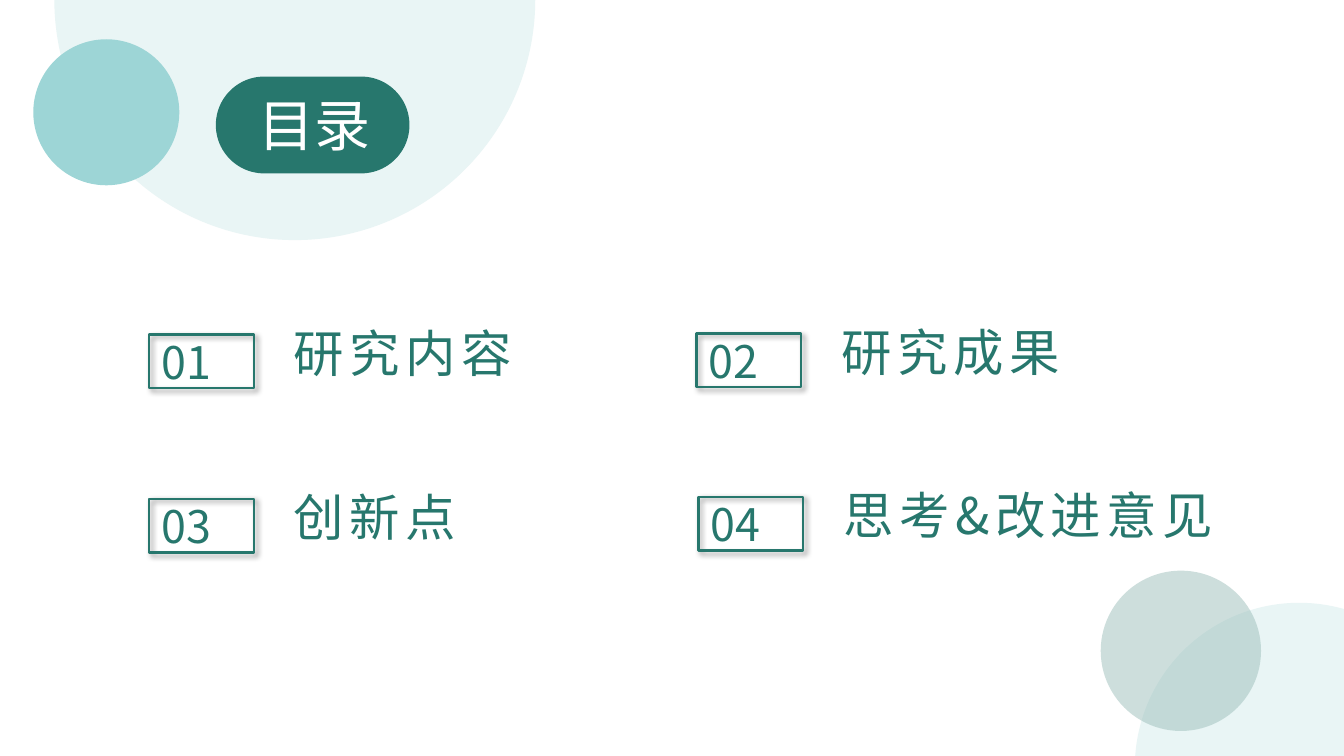
from dataclasses import dataclass

from lxml import etree
from pptx import Presentation
from pptx.dml.color import RGBColor
from pptx.enum import shapes, text
from pptx.oxml import ns
from pptx.util import Cm, Pt

FONT = "Noto Sans CJK SC"
GREEN = RGBColor(0x27, 0x77, 0x6D)
PALE = RGBColor(0xE9, 0xF5, 0xF5)
AQUA = RGBColor(0x9D, 0xD5, 0xD6)
SAGE = RGBColor(0x9D, 0xC0, 0xBC)
WHITE = RGBColor(0xFF, 0xFF, 0xFF)
BLACK = RGBColor(0, 0, 0)


@dataclass(frozen=True)
class Circle:
    left: float
    top: float
    diameter: float
    color: RGBColor
    opacity: int = 100


@dataclass(frozen=True)
class Entry:
    """A numbered line of the contents, placed by its number frame."""
    left: float
    top: float
    title: str
    width: float = 9.6
    height: float = 1.8


TOP_CIRCLES = [Circle(1.37, -6.07, 12.12, PALE), Circle(0.84, 0.99, 3.68, AQUA)]
BOTTOM_CIRCLES = [Circle(28.6, 15.19, 8.28, PALE), Circle(27.74, 14.38, 4.04, SAGE, 51)]
ENTRIES = [
    Entry(3.76, 8.43, "研究内容"),
    Entry(17.55, 8.41, "研究成果"),
    Entry(3.76, 12.57, "创新点"),
    Entry(17.6, 12.52, "思考&改进意见", 10.26, 3.33),
]


def add_element(parent, tag: str, **attributes):
    element = etree.SubElement(parent, ns.qn(tag))
    for name, value in attributes.items():
        element.set(name, str(value))
    return element


def add_text(container, content: str, left: float, top: float, width: float,
             height: float, *, size: float, color: RGBColor = GREEN,
             spacing: float = 0, grow: bool = True):
    box = container.add_textbox(Cm(left), Cm(top), Cm(width), Cm(height))
    frame = box.text_frame
    frame.word_wrap = True
    frame.auto_size = (text.MSO_AUTO_SIZE.SHAPE_TO_FIT_TEXT if grow
                       else text.MSO_AUTO_SIZE.NONE)
    run = frame.paragraphs[0].add_run()
    run.text = content
    run.font.size = Pt(size)
    run.font.color.rgb = color
    run.font.name = FONT
    properties = run.font._element
    add_element(properties, "a:ea", typeface=FONT)
    if spacing:
        properties.set("spc", str(int(spacing * 100)))
    return box


def add_filled(container, kind, left: float, top: float, width: float,
               height: float, color: RGBColor):
    shape = container.add_shape(kind, Cm(left), Cm(top), Cm(width), Cm(height))
    shape.shadow.inherit = False
    shape.fill.solid()
    shape.fill.fore_color.rgb = color
    shape.line.fill.background()
    return shape


def add_circle(container, circle: Circle) -> None:
    shape = add_filled(container, shapes.MSO_SHAPE.OVAL, circle.left, circle.top,
                       circle.diameter, circle.diameter, circle.color)
    if circle.opacity < 100:
        color = shape._element.spPr.find(ns.qn("a:solidFill"))[0]
        add_element(color, "a:alpha", val=circle.opacity * 1000)


def add_heading(container) -> None:
    group = container.add_group_shape().shapes
    pill = add_filled(group, shapes.MSO_SHAPE.ROUNDED_RECTANGLE,
                      5.44, 1.93, 4.88, 2.44, GREEN)
    pill.adjustments[0] = 0.5
    add_text(group, "目录", 6.27, 2.16, 3.43, 1.96, size=40, color=WHITE)


def add_number_frame(container, left: float, top: float) -> None:
    frame = container.add_shape(shapes.MSO_SHAPE.RECTANGLE,
                                Cm(left), Cm(top), Cm(2.64), Cm(1.35))
    frame.shadow.inherit = False
    frame.fill.background()
    frame.line.color.rgb = GREEN
    frame.line.width = Pt(1.75)
    effects = frame._element.spPr.find(ns.qn("a:effectLst"))
    shadow = add_element(effects, "a:outerShdw", blurRad=Pt(4), dist=Pt(3),
                         dir=45 * 60000, algn="tl", rotWithShape=0)
    color = add_element(shadow, "a:srgbClr", val=BLACK)
    add_element(color, "a:alpha", val=40000)


def add_entry(container, number: int, entry: Entry) -> None:
    group = container.add_group_shape().shapes
    add_number_frame(group, entry.left, entry.top)
    add_text(group, f"{number:02}", entry.left + 0.06, entry.top - 0.13,
             2.51, 1.63, size=32)
    add_text(container, entry.title, entry.left + 3.4, entry.top - 0.44,
             entry.width, entry.height, size=36, spacing=4, grow=entry.height < 2)


def main() -> None:
    presentation = Presentation()
    presentation.slide_width = Cm(33.87)
    presentation.slide_height = Cm(19.05)
    slide = presentation.slides.add_slide(presentation.slide_layouts[6])
    for circle in TOP_CIRCLES:
        add_circle(slide.shapes, circle)
    add_heading(slide.shapes)
    for number, entry in enumerate(ENTRIES, start=1):
        add_entry(slide.shapes, number, entry)
    for circle in BOTTOM_CIRCLES:
        add_circle(slide.shapes, circle)
    presentation.save("out.pptx")


if __name__ == "__main__":
    main()
